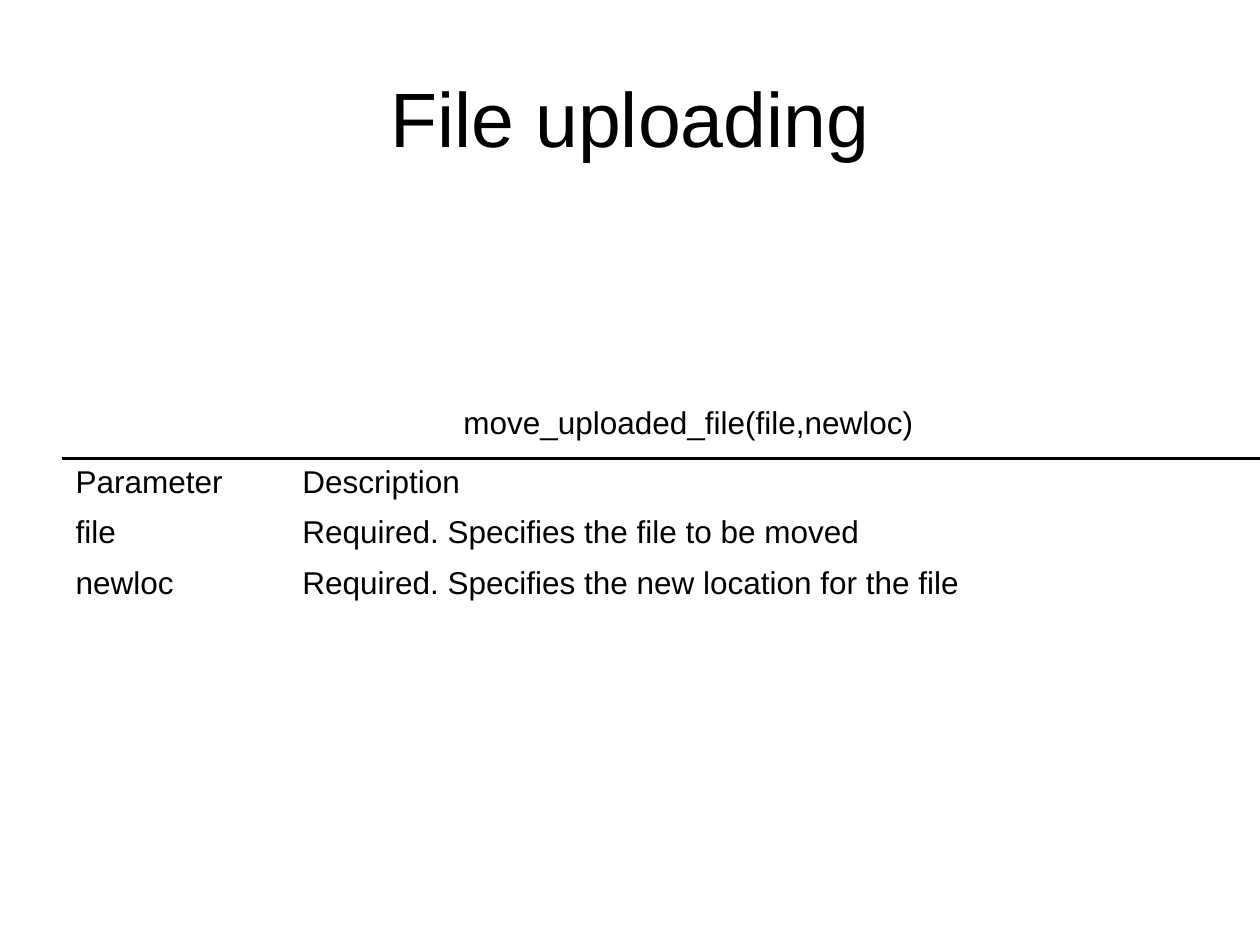
from pptx import Presentation
from pptx.dml.color import RGBColor
from pptx.enum.shapes import MSO_SHAPE as Shape
from pptx.enum.text import MSO_ANCHOR as Anchor, PP_ALIGN as Align
from pptx.util import Inches, Pt

COLORS = {"ink": "000000", "page": "FFFFFF"}
FONT = "Arial"
ROWS = [
    ("Parameter", "Description"),
    ("file", "Required. Specifies the file to be moved"),
    ("newloc", "Required. Specifies the new location for the file"),
]


def color(name):
    """Return the named colour."""
    return RGBColor.from_string(COLORS[name])


def write(frame, text, size, align=Align.LEFT):
    """Write one run into the first paragraph of a frame."""
    para = frame.paragraphs[0]
    para.alignment = align
    run = para.add_run()
    run.text = text
    font = run.font
    font.name, font.size, font.bold = FONT, Pt(size), False
    font.color.rgb = color("ink")


def add_title(slide, x, y, w, h):
    """Place the slide title."""
    title = slide.shapes.title
    title.left, title.top = Inches(x), Inches(y)
    title.width, title.height = Inches(w), Inches(h)
    title.text_frame.vertical_anchor = Anchor.MIDDLE
    write(title.text_frame, "File uploading", 44, Align.CENTER)


def add_params(slide, x, y, w, h):
    """Place the parameter table, its first column a fifth of the width."""
    frame = slide.shapes.add_table(
        len(ROWS), 2, Inches(x), Inches(y), Inches(w), Inches(h))
    table = frame.table
    table.first_row = table.horz_banding = False
    for col, part in zip(table.columns, (0.2, 0.8)):
        col.width = Inches(w * part)
    for row, texts in zip(table.rows, ROWS):
        row.height = Inches(h / len(ROWS))
        for cell, text in zip(row.cells, texts):
            cell.fill.solid()
            cell.fill.fore_color.rgb = color("page")
            cell.vertical_anchor = Anchor.MIDDLE
            write(cell.text_frame, text, 18)


def add_call(slide, x, y, w, h):
    """Place the function signature above the table."""
    box = slide.shapes.add_textbox(Inches(x), Inches(y), Inches(w), Inches(h))
    frame = box.text_frame
    frame.word_wrap = False
    frame.vertical_anchor = Anchor.TOP
    frame.margin_top = Inches(0.08)
    write(frame, "move_uploaded_file(file,newloc)", 18)


def add_rule(slide, x, y, w, h):
    """Place the thin bar along the top of the table."""
    bar = slide.shapes.add_shape(
        Shape.RECTANGLE, Inches(x), Inches(y), Inches(w), Inches(h))
    bar.shadow.inherit = False
    bar.fill.solid()
    bar.fill.fore_color.rgb = color("ink")
    bar.line.color.rgb = color("ink")
    bar.line.width = Pt(0.75)


def main():
    """Build and save the slide."""
    deck = Presentation()
    deck.slide_width, deck.slide_height = Inches(10), Inches(7.5)
    slide = deck.slides.add_slide(deck.slide_layouts[5])
    slide.background.fill.solid()
    slide.background.fill.fore_color.rgb = color("page")
    add_title(slide, 0.5, 0.3, 9, 1.25)
    add_params(slide, 0.5, 3.63, 9, 1.2)
    add_call(slide, 3.58, 3.12, 3.84, 1)
    add_rule(slide, 0.5, 3.63, 10, 0.02)
    deck.save("out.pptx")


if __name__ == "__main__":
    main()
